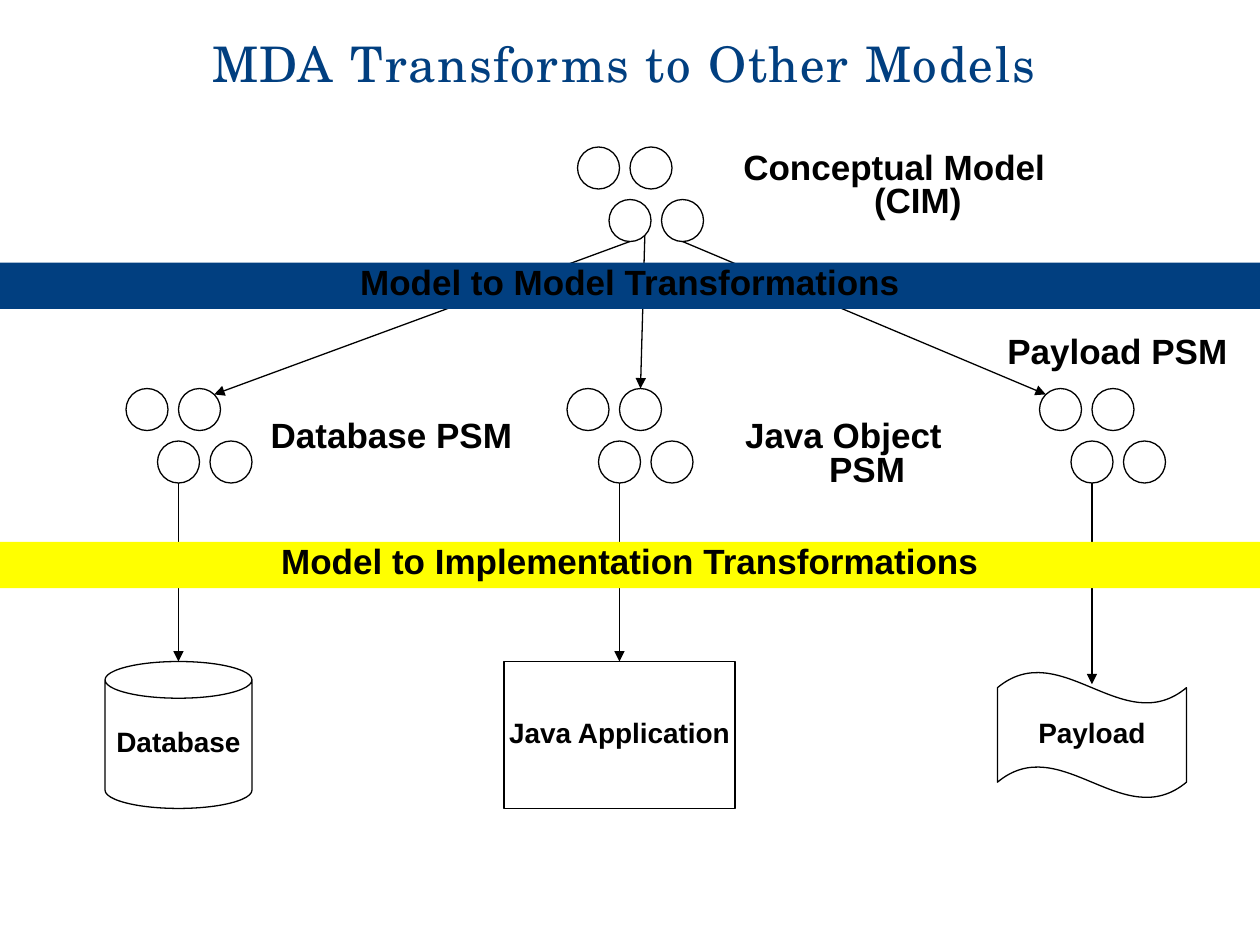
"""Build the slide showing how MDA models transform into other models."""
from dataclasses import dataclass

from lxml import etree
from pptx import Presentation
from pptx.dml.color import RGBColor
from pptx.enum.shapes import MSO_CONNECTOR as Link, MSO_SHAPE as Shape
from pptx.enum.text import MSO_ANCHOR as Anchor, PP_ALIGN as Align
from pptx.oxml.ns import qn
from pptx.util import Pt

COLORS = {"navy": "013F80", "yellow": "FFFF00", "black": "000000"}
LINE_WIDTH = 0.75
CIRCLE_SIZE = 24
CIRCLE_OFFSETS = [(0, 0), (30, 0), (18, 30), (48, 30)]
HANGING = 27


@dataclass(frozen=True)
class Block:
    text: str
    left: float
    top: float
    width: float
    height: float
    kind: Shape = Shape.RECTANGLE
    fill: str = ""
    wrap: bool = False


@dataclass(frozen=True)
class Arrow:
    start: tuple[float, float]
    end: tuple[float, float]
    target: str = ""


MODELS = [(330, 84), (72, 222), (324, 222), (594, 222)]
IMPLEMENTATIONS = [
    Block("Payload", 570, 384, 108, 72, Shape.WAVE),
    Block("Java Application", 288, 378, 132, 84),
    Block("Database", 60, 378, 84, 84, Shape.CAN),
]
ARROWS = [
    Arrow((360, 138), (122.4, 225.4)),
    Arrow((368.5, 134.6), (366, 222)),
    Arrow((390, 138), (597.6, 225.4)),
    Arrow((102, 276), (102, 378)),
    Arrow((354, 276), (354, 378), "Java Application"),
    Arrow((624, 276), (624, 391)),
]
LABELS = [
    Block("Conceptual Model (CIM)", 393, 84, 236, 27, wrap=True),
    Block("Database PSM", 147.4, 237.6, 152.6, 27),
    Block("Java Object PSM", 397, 237.6, 170, 27, wrap=True),
    Block("Payload PSM", 568.3, 189.4, 140.4, 27),
]
BANDS = [
    Block("Model to Model Transformations", 0, 150, 720, 26.5,
          fill="navy", wrap=True),
    Block("Model to Implementation Transformations", 0, 309.6, 720, 26.5,
          fill="yellow", wrap=True),
]


def rgb(name: str) -> RGBColor:
    return RGBColor.from_string(COLORS[name])


def write(shape, text: str, *, size: float, font: str = "Arial",
          color: str = "black", bold: bool = True, align=Align.CENTER,
          anchor=Anchor.TOP, wrap: bool = False, line_spacing: float = 0.8,
          hanging: float = HANGING, tracking: float = 0) -> None:
    frame = shape.text_frame
    frame.word_wrap = wrap
    frame.vertical_anchor = anchor
    paragraph = frame.paragraphs[0]
    paragraph.alignment = align
    paragraph.line_spacing = line_spacing
    properties = paragraph._p.get_or_add_pPr()
    properties.set("marL", str(Pt(hanging)))
    properties.set("indent", str(-Pt(hanging)))
    run = paragraph.add_run()
    run.text = text
    run.font.name = font
    run.font.size = Pt(size)
    run.font.bold = bold
    run.font.color.rgb = rgb(color)
    if tracking:
        run._r.get_or_add_rPr().set("spc", str(round(tracking * 100)))


def draw_shape(slide, block: Block, outlined: bool = True):
    shape = slide.shapes.add_shape(
        block.kind, Pt(block.left), Pt(block.top),
        Pt(block.width), Pt(block.height))
    shape.shadow.inherit = False
    if block.fill:
        shape.fill.solid()
        shape.fill.fore_color.rgb = rgb(block.fill)
    else:
        shape.fill.background()
    if outlined:
        shape.line.color.rgb = rgb("black")
        shape.line.width = Pt(LINE_WIDTH)
    else:
        shape.line.fill.background()
    return shape


def draw_model(slide, left: float, top: float) -> None:
    for dx, dy in CIRCLE_OFFSETS:
        draw_shape(slide, Block("", left + dx, top + dy, CIRCLE_SIZE,
                                CIRCLE_SIZE, Shape.OVAL))


def draw_arrow(slide, arrow: Arrow, targets: dict) -> None:
    connector = slide.shapes.add_connector(
        Link.STRAIGHT, *map(Pt, arrow.start), *map(Pt, arrow.end))
    if arrow.target:
        connector.end_connect(targets[arrow.target], 0)
    connector.line.color.rgb = rgb("black")
    connector.line.width = Pt(LINE_WIDTH)
    etree.SubElement(connector.line._get_or_add_ln(), qn("a:tailEnd"),
                     type="triangle")
    etree.SubElement(connector._element.spPr, qn("a:effectLst"))


def draw_label(slide, label: Block) -> None:
    box = slide.shapes.add_textbox(Pt(label.left), Pt(label.top),
                                   Pt(label.width), Pt(label.height))
    write(box, label.text, size=20, wrap=label.wrap)


def main() -> None:
    deck = Presentation()
    deck.slide_width, deck.slide_height = Pt(720), Pt(540)
    slide = deck.slides.add_slide(deck.slide_layouts[5])

    title = slide.shapes.title
    title.left, title.top = Pt(114), Pt(0)
    title.width, title.height = Pt(606), Pt(72)
    write(title, "MDA Transforms to Other Models", size=28,
          font="TeX Gyre Schola", color="navy", bold=False, align=Align.LEFT,
          anchor=Anchor.MIDDLE, wrap=True, line_spacing=1.0, hanging=0,
          tracking=1)

    for left, top in MODELS:
        draw_model(slide, left, top)

    targets = {}
    for block in IMPLEMENTATIONS:
        targets[block.text] = draw_shape(slide, block)
        write(targets[block.text], block.text, size=16, anchor=Anchor.MIDDLE)

    for arrow in ARROWS:
        draw_arrow(slide, arrow, targets)
    for label in LABELS:
        draw_label(slide, label)
    for band in BANDS:
        write(draw_shape(slide, band, outlined=False), band.text, size=20,
              wrap=band.wrap)

    deck.save("out.pptx")


if __name__ == "__main__":
    main()
